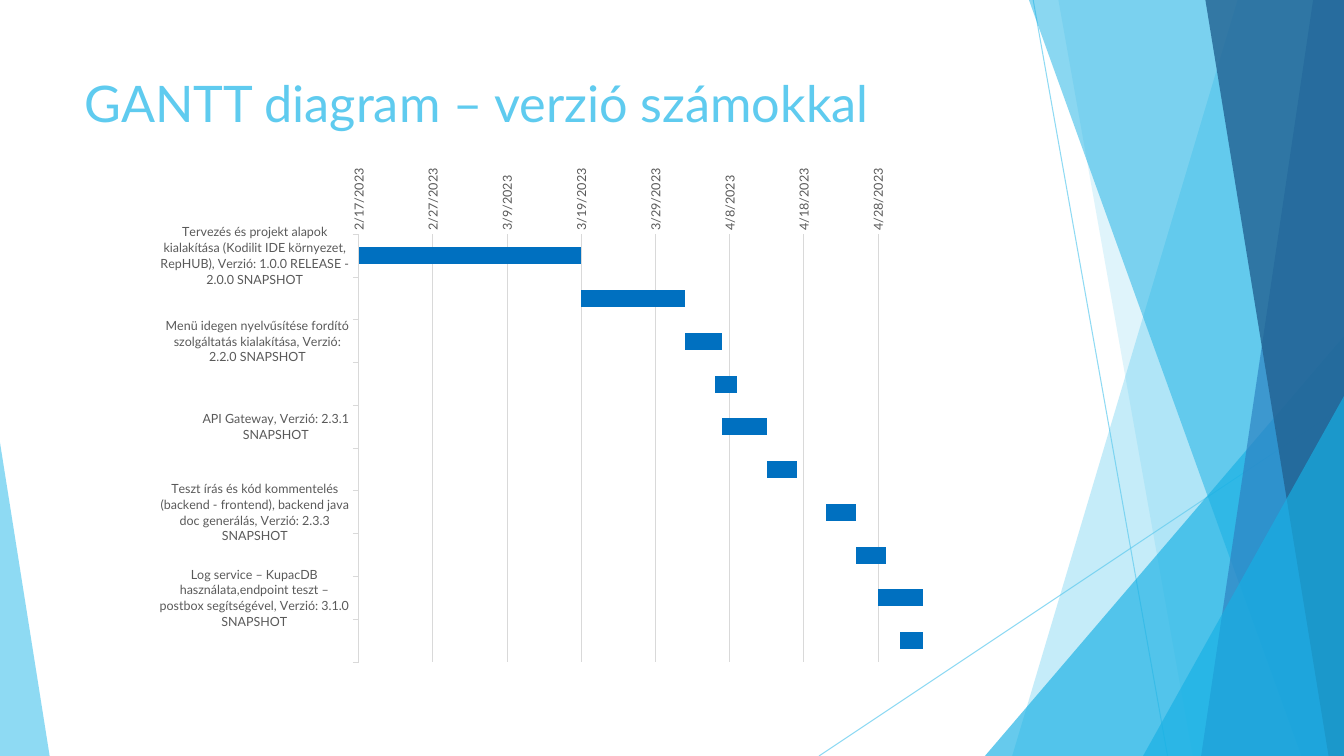
from lxml import etree
from pptx import Presentation
from pptx.chart.data import CategoryChartData
from pptx.dml.color import RGBColor
from pptx.enum.chart import XL_CHART_TYPE, XL_TICK_MARK
from pptx.enum.shapes import MSO_CONNECTOR, MSO_SHAPE
from pptx.enum.text import MSO_ANCHOR
from pptx.oxml import parse_xml
from pptx.oxml.ns import nsdecls, qn
from pptx.util import Pt

BAR_STACKED = XL_CHART_TYPE.BAR_STACKED
TICK_OUTSIDE, TICK_NONE = XL_TICK_MARK.OUTSIDE, XL_TICK_MARK.NONE
STRAIGHT = MSO_CONNECTOR.STRAIGHT
TRIANGLE = MSO_SHAPE.ISOSCELES_TRIANGLE
ANCHOR_TOP = MSO_ANCHOR.TOP

SKY = RGBColor(0x5F, 0xCB, 0xEF)
CYAN = RGBColor(0x17, 0xB0, 0xE4)
BLUE = RGBColor(0x2E, 0x83, 0xC3)
NAVY = RGBColor(0x22, 0x62, 0x92)
BAR_BLUE = RGBColor(0x00, 0x70, 0xC0)
BLACK = RGBColor(0, 0, 0)
LABEL_GREY = RGBColor(0x59, 0x59, 0x59)
GRID_GREY = RGBColor(0xD9, 0xD9, 0xD9)

FONT = "Lato"
SLIDE_WIDTH, SLIDE_HEIGHT = 960, 540

# Label (every other bar has none), start as a date serial number, length in days
TASKS = [
    ("Tervezés és projekt alapok kialakítása (Kodilit IDE környezet, RepHUB), "
     "Verzió: 1.0.0 RELEASE - 2.0.0 SNAPSHOT", 44974, 30),
    ("", 45004, 14),
    ("Menü idegen nyelvűsítése fordító szolgáltatás kialakítása, "
     "Verzió: 2.2.0 SNAPSHOT", 45018, 5),
    ("", 45022, 3),
    ("API Gateway, Verzió: 2.3.1 SNAPSHOT", 45023, 6),
    ("", 45029, 4),
    ("Teszt írás és kód kommentelés (backend - frontend), backend java doc generálás, "
     "Verzió: 2.3.3 SNAPSHOT", 45037, 4),
    ("", 45041, 4),
    ("Log service – KupacDB használata,endpoint teszt – postbox segítségével, "
     "Verzió: 3.1.0 SNAPSHOT", 45044, 7),
    ("", 45047, 4),
]


def apply_format(target, values):
    for name, value in values.items():
        setattr(target, name, value)


def style_font(font, size, color):
    apply_format(font, {"name": FONT, "size": Pt(size)})
    font.color.rgb = color


def set_opacity(shape, percent):
    color = shape.element.spPr.find(".//" + qn("a:srgbClr"))
    etree.SubElement(color, qn("a:alpha"), val=str(percent * 1000))


def fill_facet(shape, color, opacity):
    shape.shadow.inherit = False
    shape.fill.solid()
    shape.fill.fore_color.rgb = color
    set_opacity(shape, opacity)
    shape.line.fill.background()


def add_thin_line(slide, start, end):
    line = slide.shapes.add_connector(STRAIGHT, *map(Pt, start + end))
    line.line.color.rgb = SKY
    line.line.width = Pt(0.75)
    set_opacity(line, 70)
    etree.SubElement(line.element.spPr, qn("a:effectLst"))


def add_band(slide, top_left, bottom_left, color, opacity):
    """Add a full-height facet that runs from a slanted edge to the right slide edge."""
    builder = slide.shapes.build_freeform(Pt(top_left), 0)
    corners = [(SLIDE_WIDTH, 0), (SLIDE_WIDTH, SLIDE_HEIGHT), (bottom_left, SLIDE_HEIGHT)]
    builder.add_line_segments([(Pt(x), Pt(y)) for x, y in corners], close=True)
    fill_facet(builder.convert_to_shape(), color, opacity)


def add_corner_triangle(slide, left, top, width, apex, color, opacity):
    """Add a triangle that stands on the bottom edge of the slide."""
    triangle = slide.shapes.add_shape(
        TRIANGLE, Pt(left), Pt(top), Pt(width), Pt(SLIDE_HEIGHT - top))
    triangle.adjustments[0] = apex
    fill_facet(triangle, color, opacity)


def add_facets(slide):
    add_thin_line(slide, (738, 0), (834, SLIDE_HEIGHT))
    add_thin_line(slide, (SLIDE_WIDTH, 290), (585, SLIDE_HEIGHT))
    add_band(slide, 884, 723, SKY, 36)
    add_band(slide, 756, 852, SKY, 20)
    add_corner_triangle(slide, 703.5, 240, 256.5, 1, CYAN, 66)
    add_band(slide, 735, 929.5, CYAN, 50)
    add_band(slide, 938, 858, BLUE, 70)
    add_band(slide, 861, 949, NAVY, 80)
    add_corner_triangle(slide, 816.5, 283, 143.5, 1, CYAN, 66)
    add_corner_triangle(slide, 0, 316, 35.5, 0, SKY, 70)


def add_title(slide, left, top, width, height):
    title = slide.shapes.add_textbox(Pt(left), Pt(top), Pt(width), Pt(height))
    apply_format(title.text_frame, {"word_wrap": True, "vertical_anchor": ANCHOR_TOP})
    run = title.text_frame.paragraphs[0].add_run()
    run.text = "GANTT diagram – verzió számokkal"
    style_font(run.font, 36, SKY)


def place_plot(chart, left, top, width, height):
    """Set the inner plot area, in points within the chart."""
    plot_area = chart.element.find(".//" + qn("c:plotArea"))
    for layout in plot_area.findall(qn("c:layout")):
        plot_area.remove(layout)
    chart_width, chart_height = 601, 428
    fractions = {"x": left / chart_width, "y": top / chart_height,
                 "w": width / chart_width, "h": height / chart_height}
    sizes = "".join(f'<c:{name} val="{value:.4f}"/>' for name, value in fractions.items())
    plot_area.insert(0, parse_xml(
        f'<c:layout {nsdecls("c")}><c:manualLayout><c:layoutTarget val="inner"/>'
        f'<c:xMode val="edge"/><c:yMode val="edge"/>{sizes}</c:manualLayout></c:layout>'))


def style_axes(chart):
    tasks, dates = chart.category_axis, chart.value_axis
    apply_format(tasks, {"reverse_order": True, "has_major_gridlines": False,
                         "major_tick_mark": TICK_OUTSIDE, "minor_tick_mark": TICK_NONE})
    apply_format(dates, {"minimum_scale": 44974, "maximum_scale": 45050, "major_unit": 10,
                         "has_major_gridlines": True, "major_tick_mark": TICK_NONE,
                         "minor_tick_mark": TICK_NONE})
    apply_format(dates.tick_labels, {"number_format": "m/d/yyyy",
                                     "number_format_is_linked": False})
    for axis in (tasks, dates):
        style_font(axis.tick_labels.font, 9, LABEL_GREY)
    for line in (tasks.format.line, dates.major_gridlines.format.line):
        line.color.rgb = GRID_GREY
        line.width = Pt(0.75)
    dates.format.line.fill.background()
    date_axis = chart.element.find(".//" + qn("c:valAx"))
    body = date_axis.find(qn("c:txPr")).find(qn("a:bodyPr"))
    body.set("rot", "-5400000")
    body.set("vert", "horz")


def add_gantt_chart(slide, left, top, width, height):
    labels, starts, lengths = zip(*TASKS)
    data = CategoryChartData()
    data.categories = labels
    data.add_series("Series 1", starts)
    data.add_series("Series 2", lengths)
    chart = slide.shapes.add_chart(
        BAR_STACKED, Pt(left), Pt(top), Pt(width), Pt(height), data).chart
    apply_format(chart, {"has_legend": False, "has_title": False})
    style_font(chart.font, 10, BLACK)
    plot = chart.plots[0]
    apply_format(plot, {"gap_width": 150, "overlap": 100, "vary_by_categories": False})
    start_bars, length_bars = plot.series
    start_bars.format.fill.background()
    start_bars.format.line.fill.background()
    length_bars.format.fill.solid()
    length_bars.format.fill.fore_color.rgb = BAR_BLUE
    style_axes(chart)
    place_plot(chart, 137, 108.5, 407.5, 305.5)


def main():
    presentation = Presentation()
    apply_format(presentation, {"slide_width": Pt(SLIDE_WIDTH),
                                "slide_height": Pt(SLIDE_HEIGHT)})
    slide = presentation.slides.add_slide(presentation.slide_layouts[6])
    add_facets(slide)
    add_title(slide, 53.3, 48, 677, 104)
    add_gantt_chart(slide, 114, 59, 601, 428)
    presentation.save("out.pptx")


if __name__ == "__main__":
    main()
